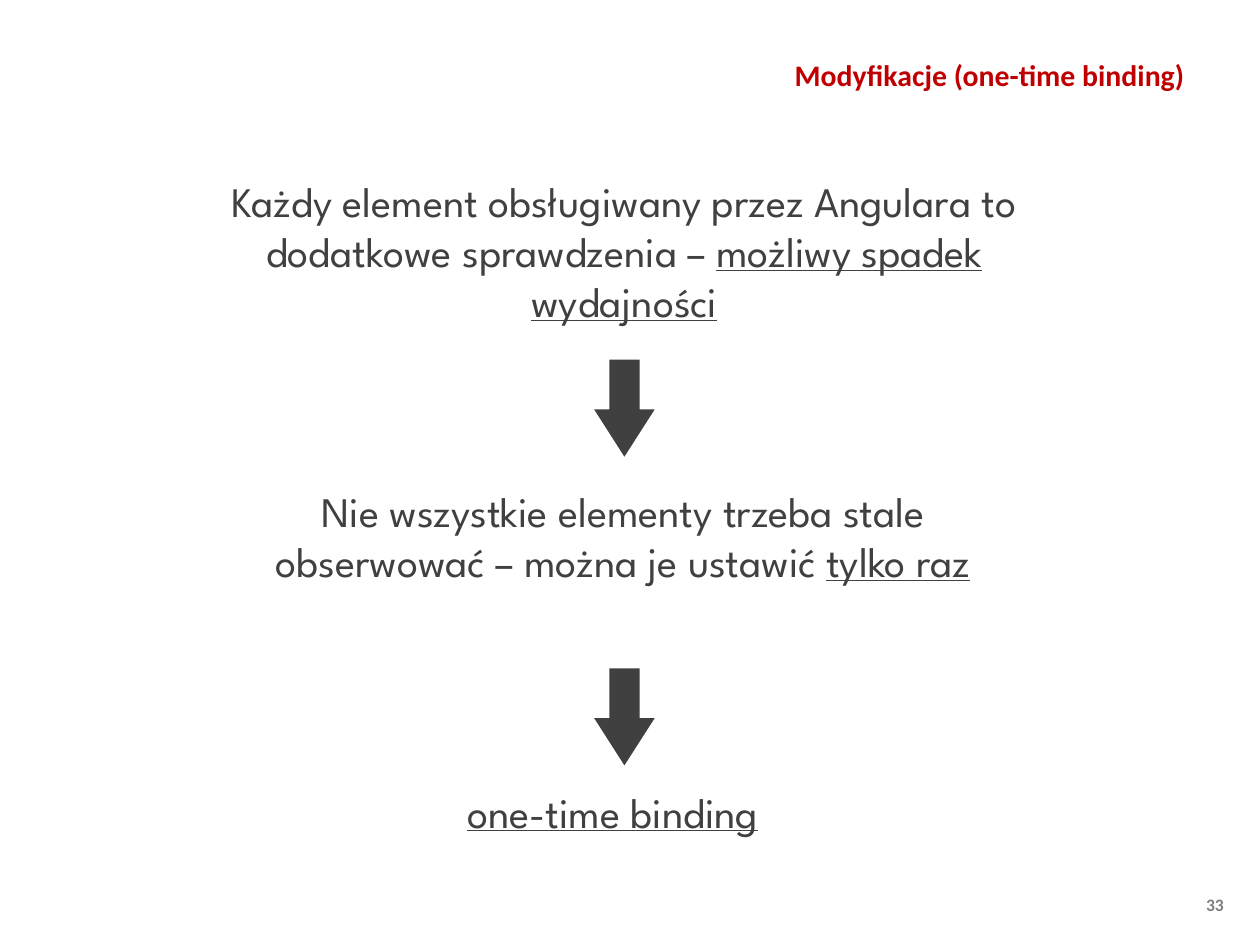
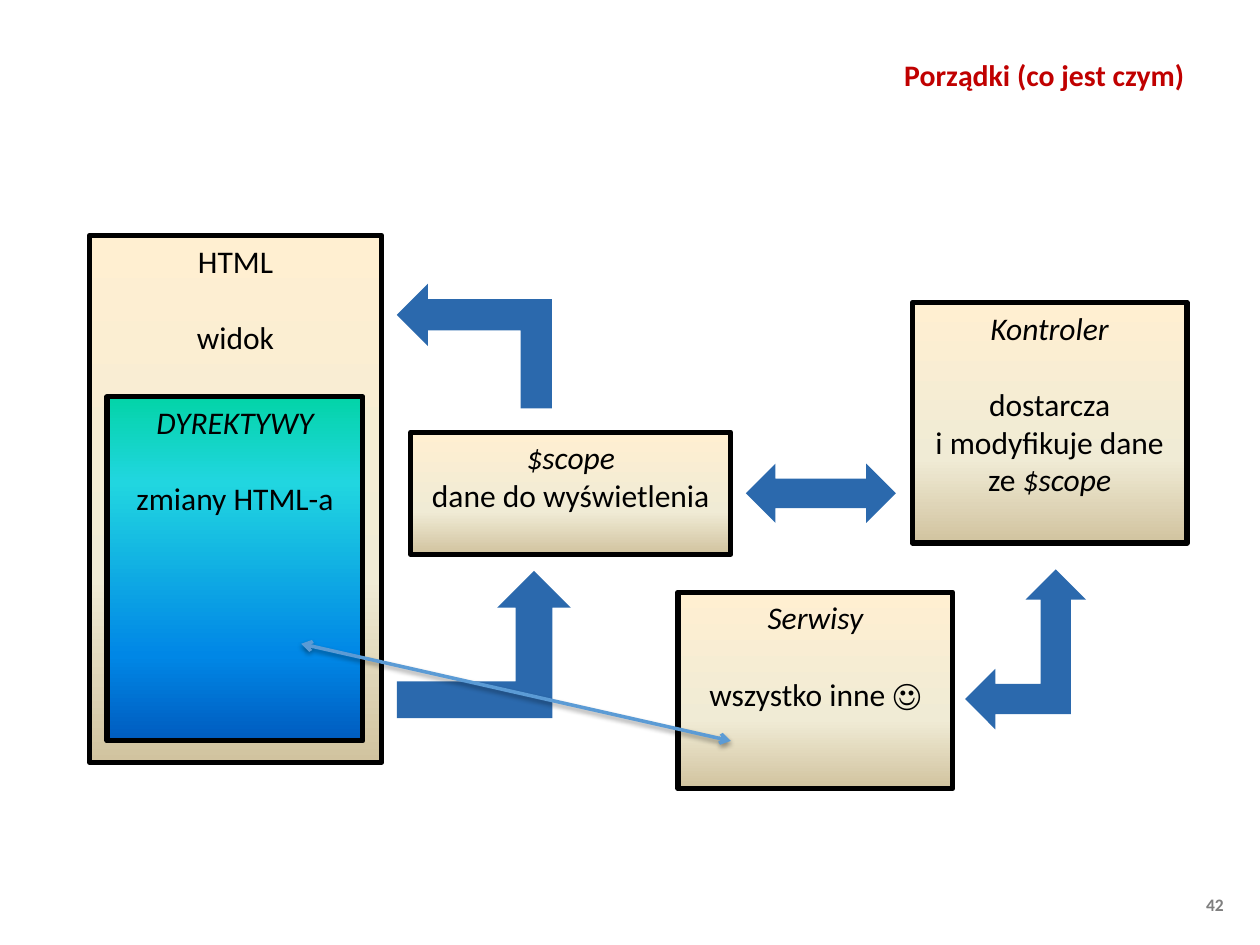
from dataclasses import dataclass

from lxml.etree import SubElement
from pptx import Presentation
from pptx.dml.color import RGBColor
from pptx.enum.shapes import MSO_CONNECTOR, MSO_SHAPE
from pptx.enum.text import MSO_ANCHOR, PP_ALIGN
from pptx.oxml import parse_xml
from pptx.oxml.ns import nsdecls, qn
from pptx.shapes.autoshape import Shape
from pptx.slide import Slide
from pptx.text.text import TextFrame
from pptx.util import Pt

COLORS = {
    "title": "C00000",
    "number": "7F7F7F",
    "body": "404040",
    "black": "000000",
    "arrow": "2B69AD",
    "link": "5B9BD5",
}
SAND = ((0, "FFEFD1"), (65, "F0EBD5"), (100, "D1C39F"))
OCEAN = ((0, "03D4A8"), (25, "21D6E0"), (75, "0087E6"), (100, "005CBF"))
SANS = "Calibri"
DISPLAY = "League Spartan"
LINE_GAP = 22


@dataclass(frozen=True)
class Run:
    text: str
    italic: bool = False
    underline: bool = False


@dataclass(frozen=True)
class Para:
    runs: tuple[Run, ...]
    gap: float = 0


@dataclass(frozen=True)
class Area:
    left: float
    top: float
    width: float
    height: float

    def lengths(self) -> tuple[Pt, ...]:
        return tuple(Pt(v) for v in (self.left, self.top, self.width, self.height))


@dataclass(frozen=True)
class Box:
    area: Area
    paras: tuple[Para, ...]
    stops: tuple[tuple[int, str], ...] = SAND


@dataclass(frozen=True)
class Arrow:
    kind: MSO_SHAPE
    area: Area
    color: str = "arrow"
    rotation: float = 0
    adjustments: tuple[float, ...] = ()


def rgb(name: str) -> RGBColor:
    return RGBColor.from_string(COLORS[name])


def para(text: str, gap: float = 0, italic: bool = False) -> Para:
    return Para((Run(text, italic=italic),), gap)


def write(tf: TextFrame, paras: tuple[Para, ...], *, size: float, font: str = SANS,
          color: str = "black", bold: bool = False, align: PP_ALIGN = PP_ALIGN.CENTER,
          anchor: MSO_ANCHOR = MSO_ANCHOR.TOP) -> None:
    tf.word_wrap = True
    tf.vertical_anchor = anchor
    for i, item in enumerate(paras):
        p = tf.add_paragraph() if i else tf.paragraphs[0]
        p.alignment = align
        p.space_before = Pt(item.gap)
        for run in item.runs:
            r = p.add_run()
            r.text = run.text
            r.font.name = font
            r.font.size = Pt(size)
            r.font.bold = bold
            r.font.italic = run.italic
            r.font.underline = run.underline
            r.font.color.rgb = rgb(color)


def add_text(slide: Slide, area: Area, *runs: Run, **style) -> None:
    sp = slide.shapes.add_textbox(*area.lengths())
    write(sp.text_frame, (Para(runs),), **style)


def add_slide(prs: Presentation, title: str, number: int) -> Slide:
    s = prs.slides.add_slide(prs.slide_layouts[6])
    add_text(s, Area(670.5, 507.6, 47.5, 19.4), Run(str(number)),
             size=10, color="number", bold=True)
    add_text(s, Area(172, 15, 512, 55), Run(title), size=17, color="title", bold=True,
             align=PP_ALIGN.RIGHT, anchor=MSO_ANCHOR.MIDDLE)
    return s


def fill_gradient(sp: Shape, stops: tuple[tuple[int, str], ...]) -> None:
    marks = "".join(f'<a:gs pos="{pos * 1000}"><a:srgbClr val="{color}"/></a:gs>'
                    for pos, color in stops)
    grad = parse_xml(f'<a:gradFill {nsdecls("a")} rotWithShape="1"><a:gsLst>{marks}</a:gsLst>'
                     '<a:lin ang="5400000" scaled="0"/></a:gradFill>')
    sp._element.spPr.find(qn("a:prstGeom")).addnext(grad)


def add_box(slide: Slide, box: Box) -> None:
    sp = slide.shapes.add_shape(MSO_SHAPE.RECTANGLE, *box.area.lengths())
    sp.shadow.inherit = False
    fill_gradient(sp, box.stops)
    sp.line.color.rgb = rgb("black")
    sp.line.width = Pt(3)
    SubElement(sp.line._ln, qn("a:round"))
    write(sp.text_frame, box.paras, size=18)


def add_arrow(slide: Slide, arrow: Arrow) -> None:
    sp = slide.shapes.add_shape(arrow.kind, *arrow.area.lengths())
    sp.shadow.inherit = False
    sp.rotation = arrow.rotation
    for i, value in enumerate(arrow.adjustments):
        sp.adjustments[i] = value
    sp.fill.solid()
    sp.fill.fore_color.rgb = rgb(arrow.color)
    sp.line.fill.background()


def add_link(slide: Slide, *ends: float) -> None:
    cx = slide.shapes.add_connector(MSO_CONNECTOR.STRAIGHT, *(Pt(v) for v in ends))
    cx.line.color.rgb = rgb("link")
    cx.line.width = Pt(2)
    for tag in ("a:headEnd", "a:tailEnd"):
        SubElement(cx.line._ln, qn(tag), type="arrow")
    cx._element.spPr.append(parse_xml(
        f'<a:effectLst {nsdecls("a")}><a:outerShdw blurRad="{Pt(3.1)}" dist="{Pt(1.6)}" '
        f'dir="5400000" rotWithShape="0"><a:srgbClr val="{COLORS["black"]}">'
        '<a:alpha val="38000"/></a:srgbClr></a:outerShdw></a:effectLst>'))


def build_binding(prs: Presentation) -> None:
    s = add_slide(prs, "Modyfikacje (one-time binding)", 33)
    statements = (
        (Area(107.3, 96.5, 499, 94.3),
         Run("Każdy element obsługiwany przez Angulara to dodatkowe sprawdzenia – "),
         Run("możliwy spadek wydajności", underline=True)),
        (Area(127.4, 273.6, 457.2, 94.3),
         Run("Nie wszystkie elementy trzeba stale obserwować – można je ustawić "),
         Run("tylko raz", underline=True)),
        (Area(121.6, 445.7, 457.2, 36), Run("one-time binding", underline=True)),
    )
    for area, *runs in statements:
        add_text(s, area, *runs, size=24, font=DISPLAY, color="body")
    for top in (205.6, 382):
        add_arrow(s, Arrow(MSO_SHAPE.DOWN_ARROW, Area(339.5, top, 34.6, 55.4), "body",
                           adjustments=(0.5, 0.78)))


def build_overview(prs: Presentation) -> None:
    s = add_slide(prs, "Porządki (co jest czym)", 42)
    boxes = (
        Box(Area(51.1, 134.6, 167, 301), (para("HTML"), para("widok", LINE_GAP))),
        Box(Area(61.2, 226.8, 146.2, 196.6),
            (para("DYREKTYWY", italic=True), para("zmiany HTML-a", LINE_GAP)), OCEAN),
        Box(Area(234.7, 247, 182.9, 69.8),
            (para("$scope", italic=True), para("dane do wyświetlenia"))),
        Box(Area(521.3, 172.8, 157, 137.5),
            (para("Kontroler", italic=True), para("dostarcza", LINE_GAP),
             Para((Run("i modyfikuje dane ze "), Run("$scope", italic=True))))),
        Box(Area(387.4, 338.4, 157, 112.3),
            (para("Serwisy", italic=True), para("wszystko inne ☺", LINE_GAP))),
    )
    arrows = (
        Arrow(MSO_SHAPE.BENT_UP_ARROW, Area(235.4, 153.4, 71.3, 88.6), rotation=270),
        Arrow(MSO_SHAPE.BENT_UP_ARROW, Area(226.8, 326.2, 99.4, 84.2)),
        Arrow(MSO_SHAPE.LEFT_RIGHT_ARROW, Area(426.2, 265, 85.7, 33.8)),
        Arrow(MSO_SHAPE.LEFT_UP_ARROW, Area(551.5, 325.4, 69.1, 91.4)),
    )
    for box in boxes:
        add_box(s, box)
    for arrow in arrows:
        add_arrow(s, arrow)
    add_link(s, 172.1, 367.9, 417.6, 423.4)


def main() -> None:
    prs = Presentation()
    prs.slide_width, prs.slide_height = Pt(720), Pt(540)
    build_binding(prs)
    build_overview(prs)
    prs.save("out.pptx")


if __name__ == "__main__":
    main()
